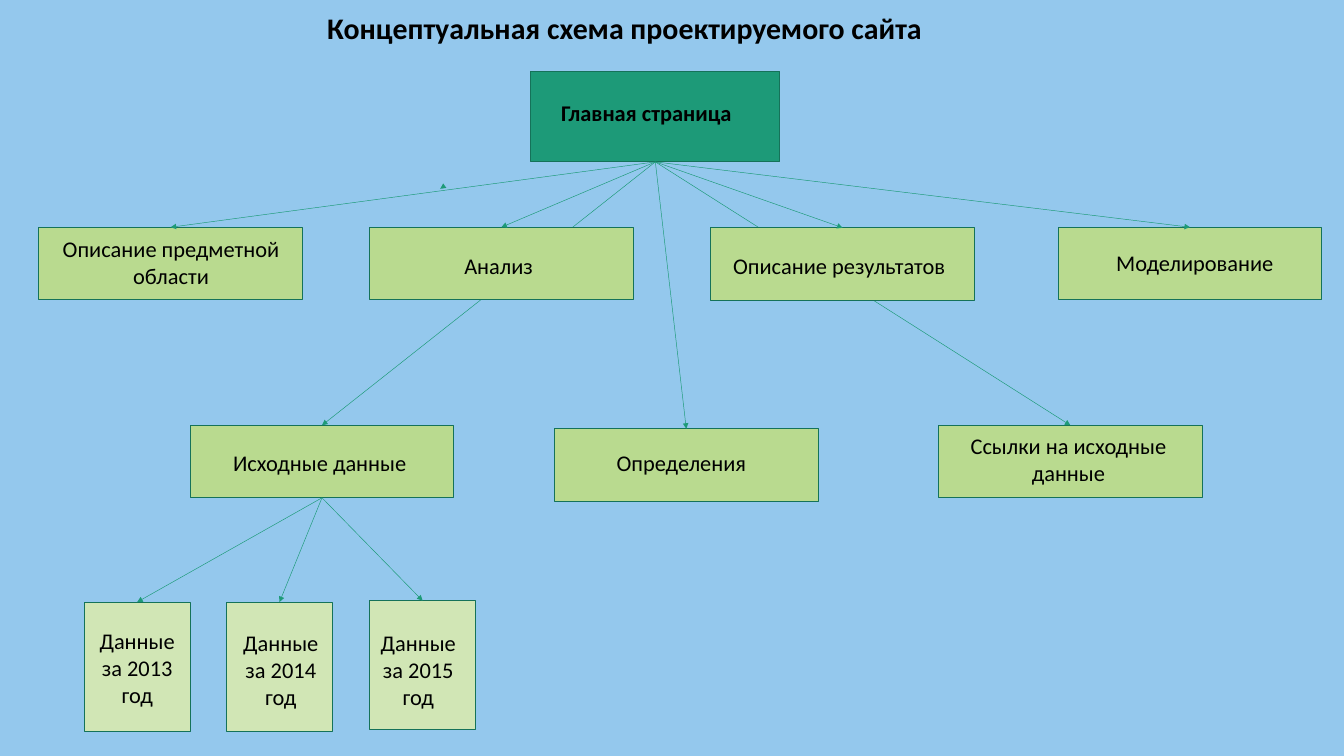
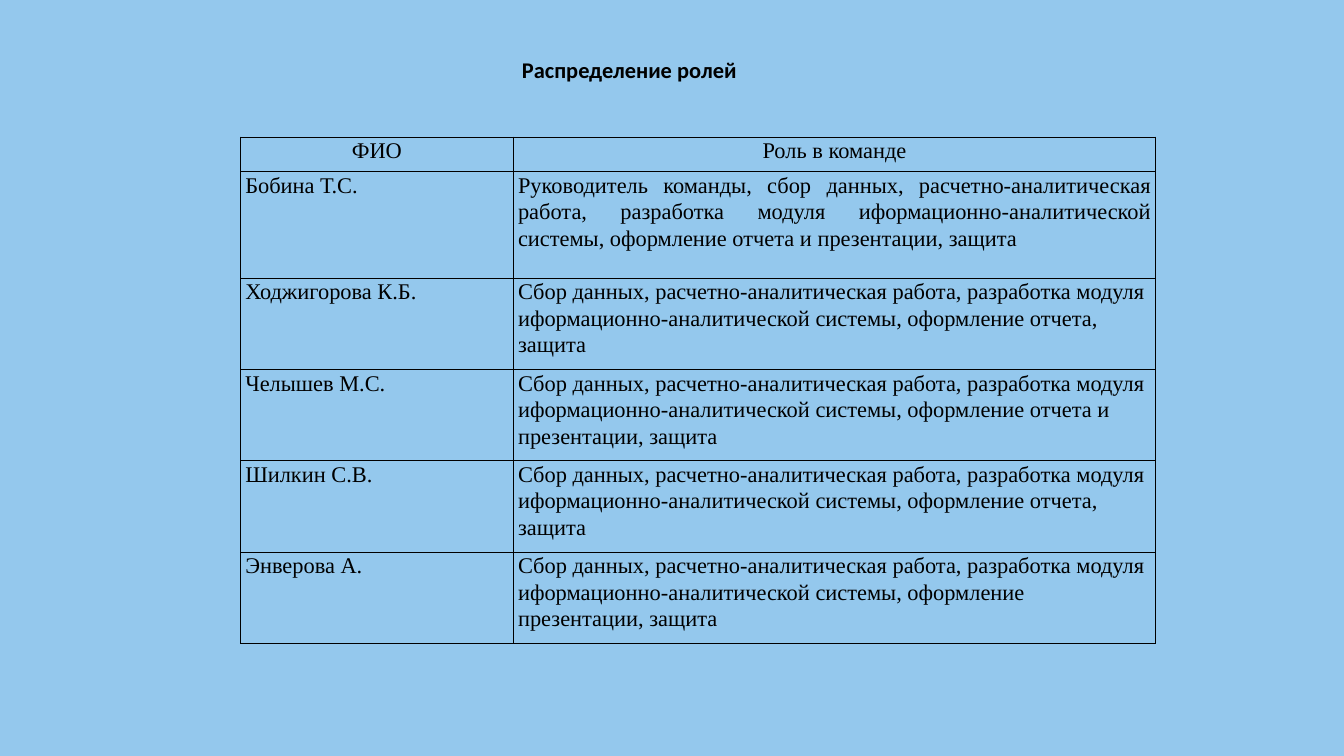
from dataclasses import dataclass

from lxml import etree
from pptx import Presentation
from pptx import util as u
from pptx.dml.color import RGBColor
from pptx.enum import shapes, text
from pptx.oxml.ns import qn

SKY, TEAL, TEAL_EDGE = "94C8ED", "1D9A78", "157259"
GREEN, PALE_GREEN, BLACK = "B9DA8F", "D1E6B5", "000000"
SANS, SERIF = "Calibri", "Times New Roman"
PAGE_SIZE, YEAR_SIZE = (9.96, 2.74), (4.01, 4.88)
LEFT, CENTER, JUSTIFY = text.PP_ALIGN.LEFT, text.PP_ALIGN.CENTER, text.PP_ALIGN.JUSTIFY
TOP_SITE, BOTTOM_SITE = 0, 2


@dataclass(frozen=True)
class Node:
    """A block of the site map; places and sizes are in centimetres."""
    caption: str
    at: tuple[float, float]
    label: tuple[float, float, float, float]
    size: tuple[float, float] = PAGE_SIZE
    fill: str = GREEN
    align: text.PP_ALIGN = LEFT
    bold: bool = False


@dataclass(frozen=True)
class Link:
    parent: str
    child: str
    behind: bool = False


@dataclass(frozen=True)
class Member:
    name: str
    role: str
    align: text.PP_ALIGN = LEFT


def year_node(year: int, at: tuple[float, float], label: tuple[float, float, float]) -> Node:
    return Node(f"Данные за {year} год", at, (*label, 3.33), YEAR_SIZE, PALE_GREEN, CENTER)


NODES = {
    "home": Node("Главная страница", (20.07, 2.69), (20.96, 3.61, 9.96, 1.27),
                 (9.4, 3.43), TEAL, bold=True),
    "subject": Node("Описание предметной области", (1.47, 8.59),
                    (1.55, 8.76, 9.83, 2.31), align=CENTER),
    "analysis": Node("Анализ", (13.97, 8.59), (17.3, 9.42, 6.65, 1.27)),
    "results": Node("Описание результатов", (26.87, 8.61), (27.46, 9.4, 9.63, 1.27)),
    "modelling": Node("Моделирование", (40, 8.59), (41.94, 9.3, 6.99, 1.27)),
    "sources": Node("Исходные данные", (7.19, 16.08), (8.56, 16.87, 8.97, 1.27)),
    "definitions": Node("Определения", (20.96, 16.21), (23.06, 16.84, 7.19, 1.27)),
    "references": Node("Ссылки на исходные данные", (35.48, 16.08),
                       (35.79, 16.21, 9.19, 2.31), align=CENTER),
    "2013": year_node(2013, (3.18, 22.76), (3.43, 23.6, 3.51)),
    "2014": year_node(2014, (8.56, 22.76), (8.61, 23.67, 4.01)),
    "2015": year_node(2015, (13.97, 22.71), (13.97, 23.67, 3.68)),
}
LINKS = [
    Link("home", "references", behind=True),
    Link("home", "sources", behind=True),
    *(Link("home", page) for page in
      ("analysis", "results", "modelling", "subject", "definitions")),
    *(Link("sources", year) for year in ("2013", "2014", "2015")),
]

HEADINGS = ("ФИО", "Роль в команде")
DUTIES = ("Сбор данных, расчетно-аналитическая работа, разработка модуля "
          "иформационно-аналитической системы, оформление")
MEMBERS = [
    Member("Бобина Т.С.", "Руководитель команды, " + DUTIES[0].lower() + DUTIES[1:]
           + " отчета и презентации, защита", JUSTIFY),
    Member("Ходжигорова К.Б.", f"{DUTIES} отчета, защита"),
    Member("Челышев М.С.", f"{DUTIES} отчета и презентации, защита"),
    Member("Шилкин С.В.", f"{DUTIES} отчета, защита"),
    Member("Энверова А.", f"{DUTIES} презентации, защита"),
]
COLUMN_WIDTHS = (10.31, 24.28)
ROW_HEIGHTS = (1.3, 4.04, 3.45, 3.45, 3.45, 3.45)


def rgb(color: str) -> RGBColor:
    return RGBColor.from_string(color)


def add_slide(deck):
    slide = deck.slides.add_slide(deck.slide_layouts[6])
    slide.background.fill.solid()
    slide.background.fill.fore_color.rgb = rgb(SKY)
    return slide


def write(paragraph, words: str, size: float = 24, font: str = SANS,
          bold: bool = False, align: text.PP_ALIGN = LEFT) -> None:
    paragraph.alignment = align
    run = paragraph.add_run()
    run.text = words
    run.font.name, run.font.size, run.font.bold = font, u.Pt(size), bold
    run.font.color.rgb = rgb(BLACK)


def add_label(slide, words: str, box: tuple[float, float, float, float],
              size: float = 24, bold: bool = False, align: text.PP_ALIGN = LEFT) -> None:
    frame = slide.shapes.add_textbox(*map(u.Cm, box)).text_frame
    frame.word_wrap = True
    frame.auto_size = text.MSO_AUTO_SIZE.SHAPE_TO_FIT_TEXT
    write(frame.paragraphs[0], words, size, bold=bold, align=align)


def add_block(slide, node: Node):
    block = slide.shapes.add_shape(shapes.MSO_SHAPE.RECTANGLE,
                                   *map(u.Cm, node.at + node.size))
    block.shadow.inherit = False
    block.fill.solid()
    block.fill.fore_color.rgb = rgb(node.fill)
    block.line.color.rgb = rgb(TEAL_EDGE)
    block.line.width = u.Pt(1)
    return block


def add_arrow(slide, start: tuple[float, float] = (0, 0), end: tuple[float, float] = (0, 0)):
    arrow = slide.shapes.add_connector(shapes.MSO_CONNECTOR.STRAIGHT,
                                       *map(u.Cm, start + end))
    arrow.line.color.rgb = rgb(TEAL)
    arrow.line.width = u.Pt(0.5)
    etree.SubElement(arrow.line._get_or_add_ln(), qn("a:tailEnd"), type="triangle")
    etree.SubElement(arrow._element.spPr, qn("a:effectLst"))
    return arrow


def add_link(slide, link: Link, blocks: dict) -> None:
    arrow = add_arrow(slide)
    arrow.begin_connect(blocks[link.parent], BOTTOM_SITE)
    arrow.end_connect(blocks[link.child], TOP_SITE)
    if link.behind:
        slide.shapes._spTree.insert(2, arrow._element)


def add_site_map(deck) -> None:
    slide = add_slide(deck)
    blocks = {key: add_block(slide, node) for key, node in NODES.items()}
    for link in LINKS:
        add_link(slide, link, blocks)
    add_arrow(slide, (16.71, 7.09), (16.64, 7.14))
    for node in NODES.values():
        add_label(slide, node.caption, node.label, bold=node.bold, align=node.align)
    add_label(slide, "Концептуальная схема проектируемого сайта",
              (12.12, 0.25, 35.71, 1.63), size=32, bold=True)


def add_borders(cell) -> None:
    properties = cell._tc.get_or_add_tcPr()
    for side in ("lnL", "lnR", "lnT", "lnB"):
        border = etree.SubElement(properties, qn(f"a:{side}"), w=str(u.Pt(1)))
        fill = etree.SubElement(border, qn("a:solidFill"))
        etree.SubElement(fill, qn("a:srgbClr"), val=BLACK)


def fill_cell(cell, words: str, align: text.PP_ALIGN) -> None:
    add_borders(cell)
    cell.fill.background()
    cell.margin_left = cell.margin_right = u.Cm(0.18)
    cell.margin_top = cell.margin_bottom = 0
    paragraph = cell.text_frame.paragraphs[0]
    paragraph.line_spacing = 1.07
    paragraph.space_after = u.Pt(8)
    write(paragraph, words, font=SERIF, align=align)


def add_roles(deck) -> None:
    slide = add_slide(deck)
    add_label(slide, "Распределение ролей", (19.48, 1.98, 25.4, 1.27), bold=True)
    size = sum(COLUMN_WIDTHS), sum(ROW_HEIGHTS)
    table = slide.shapes.add_table(len(ROW_HEIGHTS), len(COLUMN_WIDTHS),
                                   *map(u.Cm, (9.09, 5.18) + size)).table
    table.first_row = table.horz_banding = False
    for column, width in zip(table.columns, COLUMN_WIDTHS):
        column.width = u.Cm(width)
    for row, height in zip(table.rows, ROW_HEIGHTS):
        row.height = u.Cm(height)
    for cell, heading in zip(table.rows[0].cells, HEADINGS):
        fill_cell(cell, heading, CENTER)
    for index, member in enumerate(MEMBERS, start=1):
        fill_cell(table.cell(index, 0), member.name, LEFT)
        fill_cell(table.cell(index, 1), member.role, member.align)


def main() -> None:
    deck = Presentation()
    deck.slide_width, deck.slide_height = u.Cm(50.8), u.Cm(28.58)
    add_site_map(deck)
    add_roles(deck)
    deck.save("out.pptx")


if __name__ == "__main__":
    main()
